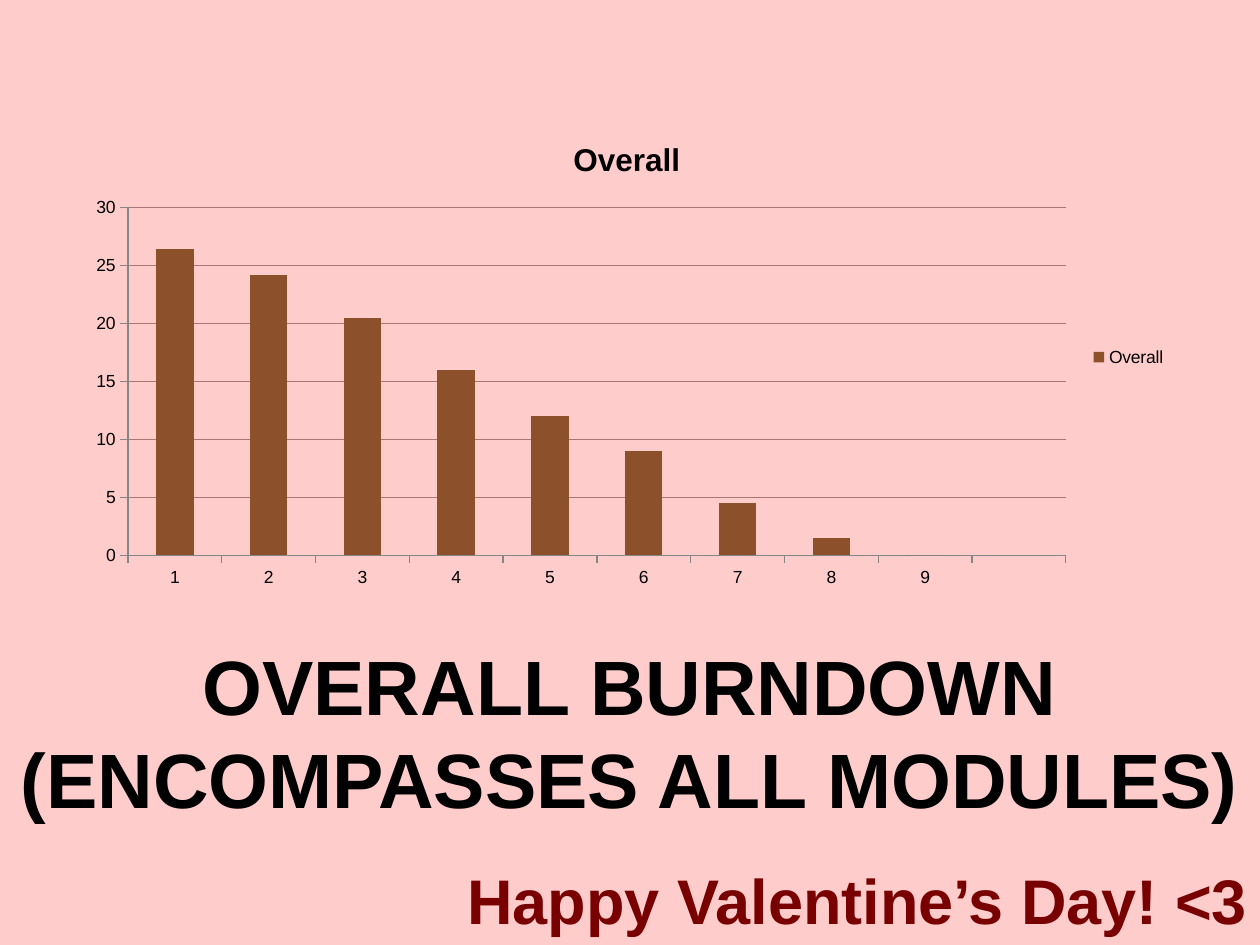
from pptx import Presentation
from pptx.chart.data import CategoryChartData
from pptx.dml.color import RGBColor
from pptx.enum.chart import XL_CHART_TYPE as Chart, XL_LEGEND_POSITION as Legend, XL_TICK_MARK as Tick
from pptx.enum.text import MSO_AUTO_SIZE as AutoSize, PP_ALIGN as Align
from pptx.util import Inches, Pt

FONT = "Arial"
PINK, BROWN, BLACK, MAROON = "FFCCCC", "8C512A", "000000", "780000"
GRID, AXIS = "A87878", "868686"

SERIES = "Overall"
REMAINING = [26.4, 24.2, 20.5, 16, 12, 9, 4.5, 1.5, 0, None]
ITERATIONS = [str(i) for i in range(1, len(REMAINING))] + [""]
CHART_BOX = (0.59, 0.93, 8.77, 3.81)

TEXTS = [
    {"box": (0.05, 5.02, 9.9, 1.58), "size": 44, "color": BLACK, "align": Align.CENTER,
     "wrap": False, "lines": ["OVERALL BURNDOWN", "(ENCOMPASSES ALL MODULES)"]},
    {"box": (3.5, 6.79, 6.5, 0.71), "size": 36, "color": MAROON, "align": Align.RIGHT,
     "wrap": True, "lines": ["Happy Valentine’s Day! <3"]},
]


def rgb(color):
    return RGBColor.from_string(color)


def set_font(font, size, color, bold):
    font.color.rgb = rgb(color)
    for name, value in {"name": FONT, "size": Pt(size), "bold": bold}.items():
        setattr(font, name, value)


def set_line(line, color):
    line.color.rgb = rgb(color)
    line.width = Pt(0.75)


def add_burndown(s):
    data = CategoryChartData()
    data.categories = ITERATIONS
    data.add_series(SERIES, REMAINING)
    chart = s.shapes.add_chart(Chart.COLUMN_CLUSTERED, *map(Inches, CHART_BOX), data).chart
    set_font(chart.font, 10, BLACK, False)

    chart.has_title = True
    tf = chart.chart_title.text_frame
    tf.text = SERIES
    set_font(tf.paragraphs[0].runs[0].font, 18, BLACK, True)

    chart.has_legend = True
    chart.legend.position = Legend.RIGHT
    chart.legend.include_in_layout = False

    for axis in (chart.category_axis, chart.value_axis):
        axis.major_tick_mark, axis.minor_tick_mark = Tick.OUTSIDE, Tick.NONE
        set_line(axis.format.line, AXIS)
    values = chart.value_axis
    values.minimum_scale, values.maximum_scale, values.major_unit = 0, 30, 5
    values.has_major_gridlines = True
    set_line(values.major_gridlines.format.line, GRID)

    plot = chart.plots[0]
    plot.gap_width = 150
    plot.vary_by_categories = False
    fill = plot.series[0].format.fill
    fill.solid()
    fill.fore_color.rgb = rgb(BROWN)


def add_text(s, box, size, color, align, wrap, lines):
    tf = s.shapes.add_textbox(*map(Inches, box)).text_frame
    tf.word_wrap = wrap
    tf.auto_size = AutoSize.SHAPE_TO_FIT_TEXT
    tf.text = "\n".join(lines)
    for p in tf.paragraphs:
        p.alignment = align
        set_font(p.runs[0].font, size, color, True)


def main():
    prs = Presentation()
    prs.slide_width, prs.slide_height = Inches(10), Inches(7.5)
    s = prs.slides.add_slide(prs.slide_layouts[6])
    s.background.fill.solid()
    s.background.fill.fore_color.rgb = rgb(PINK)
    add_burndown(s)
    for text in TEXTS:
        add_text(s, **text)
    prs.save("out.pptx")


if __name__ == "__main__":
    main()
